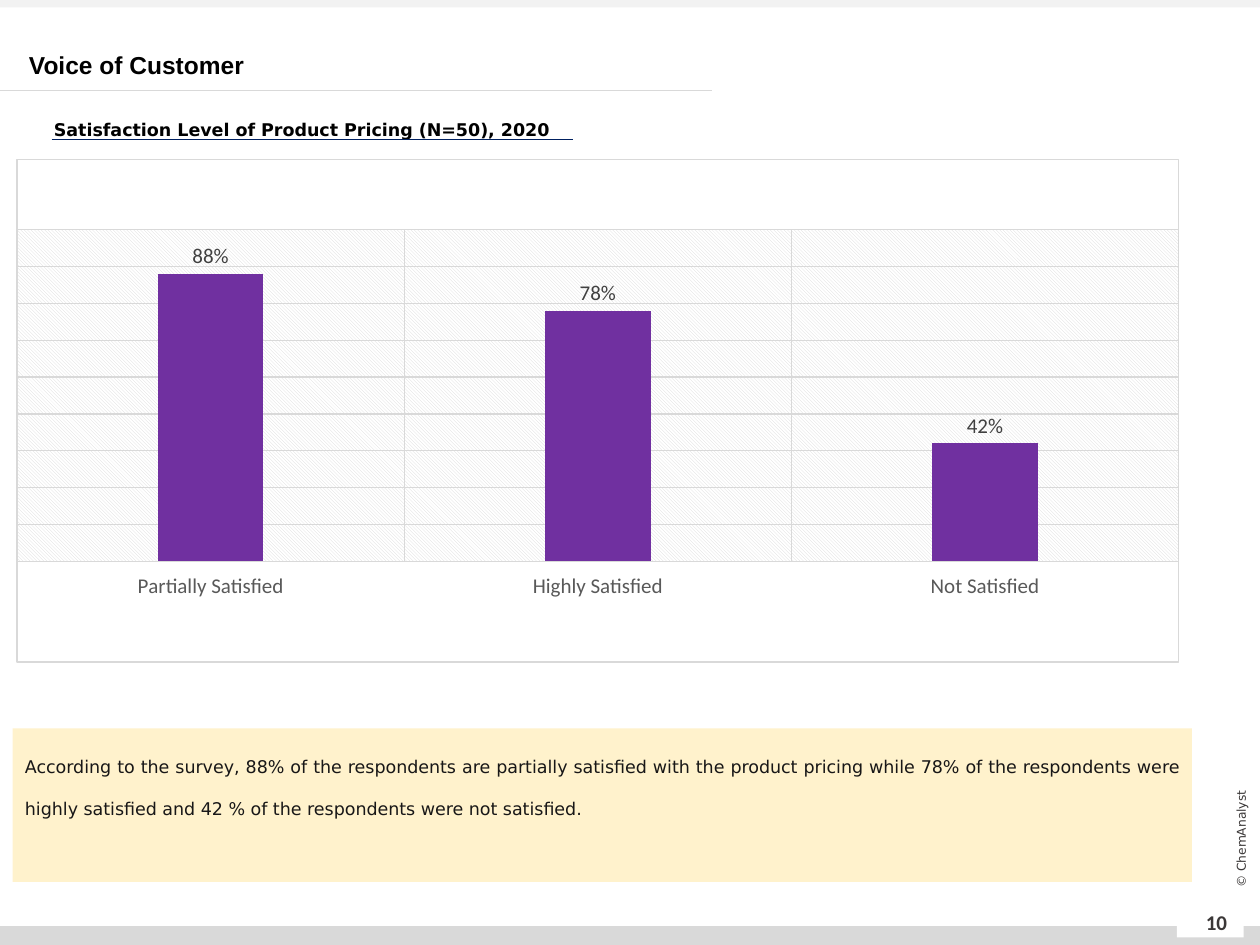
from lxml.etree import SubElement as Sub
from pptx import Presentation
from pptx.chart.data import CategoryChartData as Data
from pptx.dml.color import RGBColor as RGB
from pptx.enum.chart import XL_CHART_TYPE as Kind, XL_LABEL_POSITION as Spot
from pptx.enum.chart import XL_TICK_LABEL_POSITION as Tick, XL_TICK_MARK as Mark
from pptx.enum.shapes import MSO_CONNECTOR as Wire, MSO_SHAPE as Form
from pptx.enum.text import MSO_ANCHOR as Anchor, PP_ALIGN as Align
from pptx.oxml import parse_xml
from pptx.oxml.ns import nsdecls, qn
from pptx.util import Inches, Pt

COLORS = {
    "black": "000000", "white": "FFFFFF", "rule": "D9D9D9", "top": "F2F2F2",
    "dark": "3B3838", "navy": "002060", "cream": "FFF2CC", "body": "181717",
    "bar": "7030A0", "axis": "595959", "label": "404040",
}
COLS, ROWS = 100, 75
CELL = Inches(0.1)
SANS = "DejaVu Sans"


def color(name):
    return RGB.from_string(COLORS[name])


def grid(*cells):
    return [round(n * CELL) for n in cells]


def style(font, name, size, tone, bold=False):
    font.name, font.size, font.bold = name, Pt(size), bold
    font.color.rgb = color(tone)


def stroke(line, tone, width):
    line.color.rgb = color(tone)
    line.width = Pt(width)


def write(shape, text, font, align=Align.LEFT, gap=1, anchor=Anchor.TOP):
    """Put one paragraph in a shape; font holds the arguments of style."""
    frame = shape.text_frame
    frame.word_wrap = True
    frame.vertical_anchor = anchor
    para = frame.paragraphs[0]
    para.text, para.alignment, para.line_spacing = text, align, gap
    style(para.font, *font)


def rect(slide, box, tone):
    shape = slide.shapes.add_shape(Form.RECTANGLE, *grid(*box))
    shape.shadow.inherit = False
    shape.fill.solid()
    shape.fill.fore_color.rgb = color(tone)
    shape.line.fill.background()
    return shape


def label(slide, box, *args, **more):
    shape = slide.shapes.add_textbox(*grid(*box))
    write(shape, *args, **more)
    return shape


def rule(slide, x, y, width, tone):
    line = slide.shapes.add_connector(Wire.STRAIGHT, *grid(x, y, x + width, y))
    stroke(line.line, tone, 0.5)
    Sub(line.element.spPr, qn("a:effectLst"))


def frame(slide, box):
    """Draw the page bands, page number and copyright line."""
    x, y, w, h = box
    rect(slide, (x, y + h - 1.5, w, 1.5), "rule")
    rect(slide, (x, y, w, 0.6), "top")
    rect(slide, (x + w - 6.6, y + h - 2.8, 5.3, 2.2), "white")
    label(slide, (x + w - 5.9, y + h - 3.8, 4.9, 4), "10",
          ("Calibri", 12, "dark", True), Align.CENTER, anchor=Anchor.MIDDLE)
    side = label(slide, (x + w - 7.5, y + h - 9.2, 12, 1.6), "© ChemAnalyst",
                 (SANS, 7, "dark"), Align.CENTER, anchor=Anchor.MIDDLE)
    side.rotation = 270


def head(slide, box):
    x, y, w, h = box
    title = slide.shapes.title
    title.left, title.top, title.width, title.height = grid(*box)
    write(title, "Voice of Customer", ("Arial", 14, "black", True),
          anchor=Anchor.BOTTOM)
    title.text_frame.margin_bottom = 0
    rule(slide, 0, y + h + 0.9, 56.5, "rule")


def topic(slide, box):
    x, y, w, h = box
    label(slide, box, "Satisfaction Level of Product Pricing (N=50), 2020",
          (SANS, 10, "black", True), gap=1.5)
    rule(slide, x + 0.8, y + 3, 41.4, "navy")


def plot(slide, box):
    data = Data(number_format="0%")
    data.categories = ["Partially Satisfied", "Highly Satisfied", "Not Satisfied"]
    data.add_series("Series 1", (0.88, 0.78, 0.42))
    chart = slide.shapes.add_chart(
        Kind.COLUMN_CLUSTERED, *grid(*box), data).chart
    chart.has_title = chart.has_legend = False
    style(chart.font, "Calibri", 10, "black")

    bars = chart.plots[0]
    bars.gap_width, bars.overlap, bars.vary_by_categories = 267, -43, False
    fill = bars.series[0].format.fill
    fill.solid()
    fill.fore_color.rgb = color("bar")
    bars.has_data_labels = True
    marks = bars.data_labels
    marks.show_value, marks.position = True, Spot.OUTSIDE_END
    marks.number_format, marks.number_format_is_linked = "0%", False
    style(marks.font, "Calibri", 12, "label")

    cats, vals = chart.category_axis, chart.value_axis
    for axis in (cats, vals):
        axis.has_major_gridlines = True
        stroke(axis.major_gridlines.format.line, "rule", 0.75)
    cats.major_tick_mark = Mark.NONE
    cats.tick_label_position = Tick.LOW
    stroke(cats.format.line, "rule", 0.75)
    style(cats.tick_labels.font, "Calibri", 12, "axis")
    vals.minimum_scale, vals.maximum_scale, vals.major_unit = 0.1, 1, 0.1
    vals.visible = False
    paint(chart)


def paint(chart):
    """Set the fill, border and inner plot box of a chart."""
    def solid(name):
        return f'<a:srgbClr val="{COLORS[name]}"/>'

    def props(inner):
        return parse_xml(f'<c:spPr {nsdecls("c", "a")}>{inner}</c:spPr>')

    root = chart.element.find(qn("c:chart"))
    root.addnext(props(
        f'<a:solidFill>{solid("white")}</a:solidFill><a:ln w="{Pt(0.75)}">'
        f'<a:solidFill>{solid("rule")}</a:solidFill></a:ln>'))
    area = root.find(qn("c:plotArea"))
    area.append(props(
        f'<a:pattFill prst="ltDnDiag"><a:fgClr>{solid("rule")}</a:fgClr>'
        f'<a:bgClr>{solid("white")}</a:bgClr></a:pattFill>'))
    for old in area.findall(qn("c:layout")):
        area.remove(old)
    layout = parse_xml(f'<c:layout {nsdecls("c")}><c:manualLayout/></c:layout>')
    area.insert(0, layout)
    parts = {"layoutTarget": "inner", "xMode": "edge", "yMode": "edge",
             "x": 0, "y": 0.14, "w": 1, "h": 0.66}
    for tag, value in parts.items():
        Sub(layout[0], qn(f"c:{tag}")).set("val", str(value))


def note(slide, box):
    shape = rect(slide, box, "cream")
    write(shape, "According to the survey, 88% of the respondents are partially "
          "satisfied with the product pricing while 78% of the respondents were "
          "highly satisfied and 42 % of the respondents were not satisfied.",
          (SANS, 10, "body"), Align.JUSTIFY, gap=2)


def main():
    deck = Presentation()
    deck.slide_width, deck.slide_height = grid(COLS, ROWS)
    slide = deck.slides.add_slide(deck.slide_layouts[5])
    frame(slide, (0, 0, COLS, ROWS))
    head(slide, (1.3, 1.5, 84.5, 4.8))
    topic(slide, (3.3, 8.1, 59.3, 3.2))
    note(slide, (1, 57.8, 93.6, 12.2))
    plot(slide, (1.3, 12.6, 92.3, 40))
    deck.save("out.pptx")


if __name__ == "__main__":
    main()
